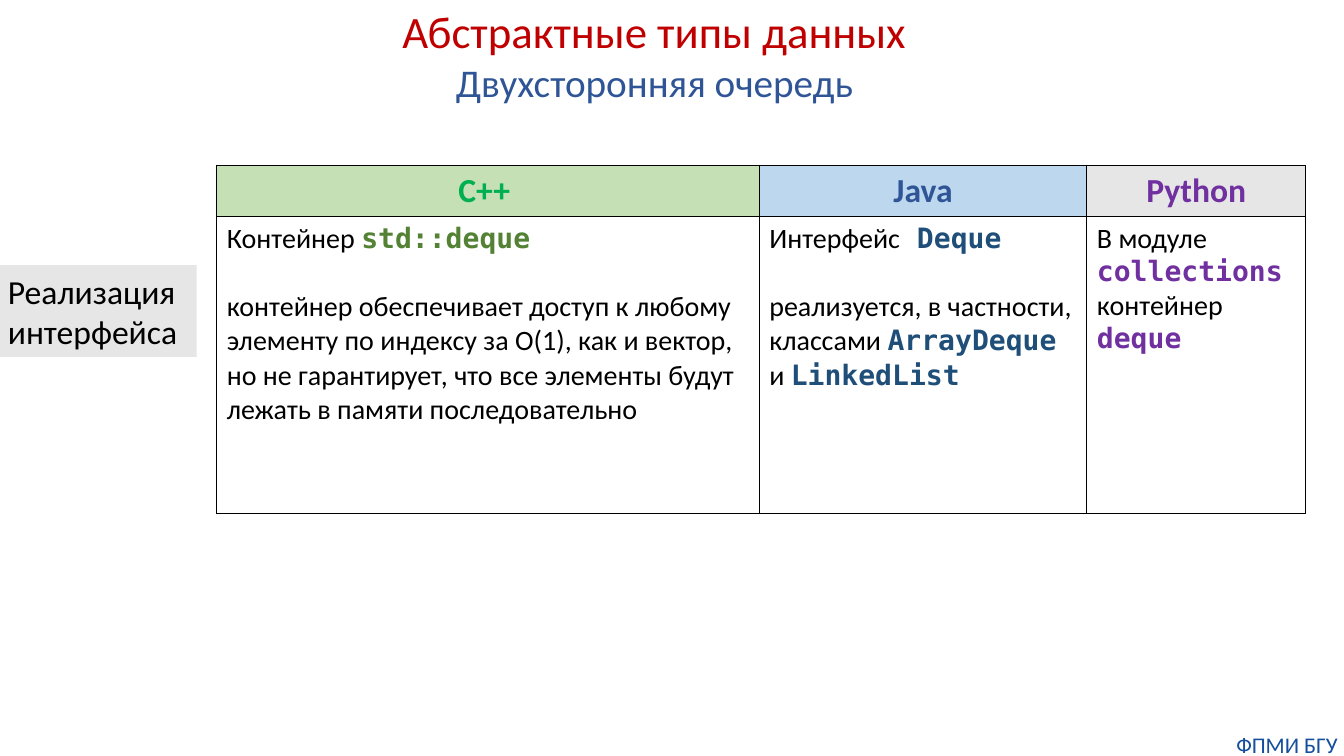
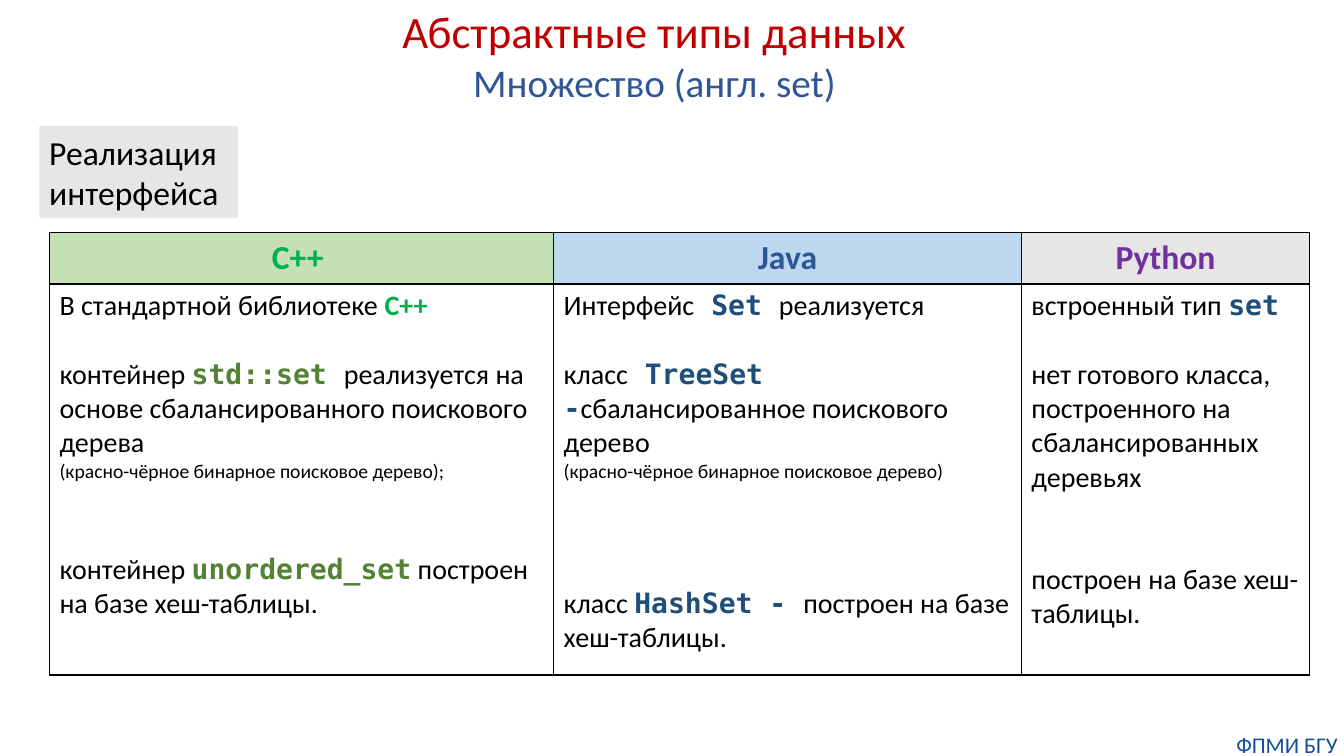
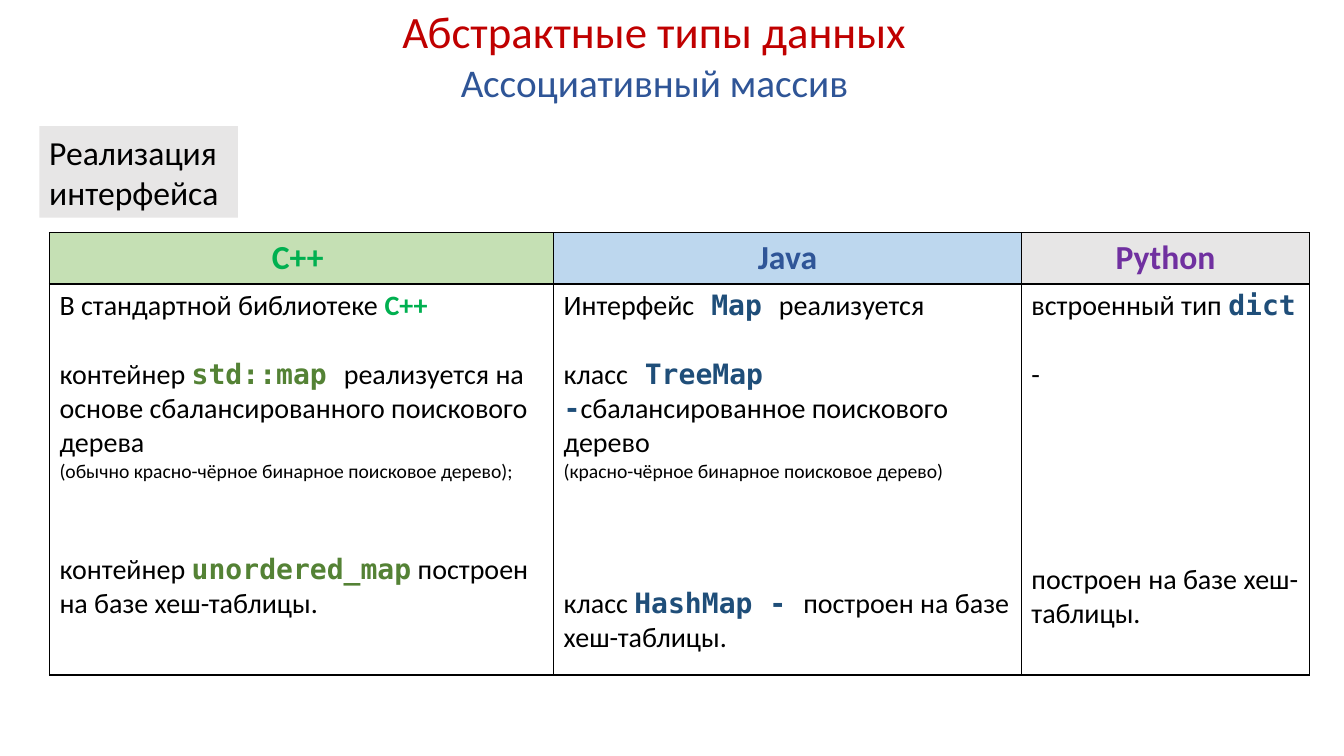
from pptx import Presentation
from pptx import util as u
from pptx.dml.color import RGBColor
from pptx.enum import shapes, text
from pptx.oxml import parse_xml
from pptx.oxml.ns import nsdecls

WIDTH, HEIGHT = 13.33, 7.5
LINE = 24.4
HEADER_HEIGHT = 0.5
SANS, MONO = "Calibri", "DejaVu Sans Mono"
TITLE = "Абстрактные типы данных"
LABEL = "Реализация интерфейса"
FOOTER = "ФПМИ БГУ"
LABEL_FILL = "E7E6E6"

STYLES = {
    "title": (SANS, 32, "C00000", False),
    "subtitle": (SANS, 28, "2F5597", False),
    "label": (SANS, 24, "000000", False),
    "footer": (SANS, 16, "144E9D", False),
    "cpp header": (SANS, 24, "00B050", True),
    "java header": (SANS, 24, "2F5597", True),
    "python header": (SANS, 24, "7030A0", True),
    "body": (SANS, 20, "000000", False),
    "note": (SANS, 14, "000000", False),
    "cpp name": (SANS, 20, "00B050", True),
    "cpp": (MONO, 20, "548235", True),
    "java": (MONO, 20, "1F4E79", True),
    "python": (MONO, 20, "7030A0", True),
}
HEADERS = [
    ("C++ ", "cpp header", "C5E0B4"),
    ("Java", "java header", "BDD7EE"),
    ("Python", "python header", "E7E6E6"),
]


def line(*runs, gap=0):
    return gap, runs


def body(content, gap=0):
    return line((content, "body"), gap=gap)


def note(content):
    return line((content, "note"))


DEQUE_CELLS = [
    [
        line(("Контейнер ", "body"), ("std::deque", "cpp")),
        body("контейнер обеспечивает доступ к любому элементу по индексу за O(1), "
             "как и вектор, но не гарантирует, что все элементы будут лежать "
             "в памяти последовательно", gap=1),
    ],
    [
        line(("Интерфейс", "body"), (" Deque", "java")),
        line(("реализуется, в частности, классами ", "body"), ("ArrayDeque", "java"),
             (" и ", "body"), ("LinkedList", "java"), gap=1),
    ],
    [
        body("В модуле"),
        line(("collections ", "python"), ("контейнер", "body")),
        line(("deque", "python")),
    ],
]


def tree_and_hash_cells(kind, tree_note, python_type, python_tree, python_gap):
    interface = kind.capitalize()
    hashed = "построен на базе хеш-таблицы."
    return [
        [
            line(("В стандартной библиотеке ", "body"), ("C++", "cpp name")),
            line(("контейнер ", "body"), (f"std::{kind} ", "cpp"),
                 ("реализуется на основе сбалансированного поискового дерева", "body"), gap=1),
            note(f"({tree_note});"),
            line(("контейнер ", "body"), (f"unordered_{kind}", "cpp"),
                 (f" {hashed}", "body"), gap=2),
        ],
        [
            line(("Интерфейс", "body"), (f" {interface} ", "java"), ("реализуется", "body")),
            line(("класс", "body"), (f" Tree{interface} -", "java"),
                 ("сбалансированное поискового дерево", "body"), gap=1),
            note("(красно-чёрное бинарное поисковое дерево)"),
            line(("класс ", "body"), (f"Hash{interface} - ", "java"), (hashed, "body"), gap=3),
        ],
        [
            line(("встроенный тип ", "body"), (python_type, "java")),
            body(python_tree, gap=1),
            body(hashed, gap=python_gap),
        ],
    ]


SIDE = {"label": (-0.02, 2.63), "table": (2.15, 1.64), "columns": (5.38, 3.25, 2.17), "body": 2.95}
WIDE = {"label": (0.39, 1.25), "table": (0.49, 2.31), "columns": (5, 4.64, 2.86), "body": 3.88}
TREE = "красно-чёрное бинарное поисковое дерево"
SLIDES = [
    ("Двухсторонняя очередь", SIDE, DEQUE_CELLS, True),
    ("Множество (англ. set)", WIDE, tree_and_hash_cells(
        "set", TREE, "set",
        "нет готового класса, построенного на сбалансированных деревьях", 2), True),
    ("Ассоциативный массив", WIDE, tree_and_hash_cells(
        "map", f"обычно {TREE}", "dict", "-", 5), False),
]


def color(value):
    return RGBColor.from_string(value)


def assign(target, values):
    for name, value in values.items():
        setattr(target, name, value)


def place(shape, left, top, width, height):
    assign(shape, {"left": u.Inches(left), "top": u.Inches(top),
                   "width": u.Inches(width), "height": u.Inches(height)})


def write(frame, lines, align=text.PP_ALIGN.LEFT):
    frame.word_wrap = True
    for index, (gap, runs) in enumerate(lines):
        paragraph = frame.add_paragraph() if index else frame.paragraphs[0]
        assign(paragraph, {"alignment": align, "space_before": u.Pt(gap * LINE)})
        for content, style in runs:
            run = paragraph.add_run()
            run.text = content
            name, size, shade, bold = STYLES[style]
            assign(run.font, {"name": name, "size": u.Pt(size), "bold": bold})
            run.font.color.rgb = color(shade)


def fill_with(shape, value):
    shape.fill.solid()
    shape.fill.fore_color.rgb = color(value)


def add_borders(cell):
    properties = cell._tc.get_or_add_tcPr()
    for side in "LRTB":
        properties.append(parse_xml(
            f'<a:ln{side} {nsdecls("a")} w="12700"><a:solidFill>'
            f'<a:srgbClr val="000000"/></a:solidFill></a:ln{side}>'))


def add_title(slide, subtitle):
    title = slide.shapes.title
    place(title, 0.97, -0.01, 11.04, 1.11)
    assign(title.text_frame, {"vertical_anchor": text.MSO_ANCHOR.TOP,
                              "auto_size": text.MSO_AUTO_SIZE.NONE})
    write(title.text_frame, [line((TITLE, "title")), line((subtitle, "subtitle"))],
          text.PP_ALIGN.CENTER)


def add_label(slide, left, top):
    label = slide.shapes.add_shape(shapes.MSO_SHAPE.RECTANGLE, u.Inches(left), u.Inches(top),
                                   u.Inches(1.97), u.Inches(0.91))
    label.shadow.inherit = False
    label.line.fill.background()
    fill_with(label, LABEL_FILL)
    write(label.text_frame, [line((LABEL, "label"))])


def add_language_table(slide, layout, cells):
    left, top = layout["table"]
    columns, rows = layout["columns"], (HEADER_HEIGHT, layout["body"])
    table = slide.shapes.add_table(
        len(rows), len(columns), u.Inches(left), u.Inches(top),
        u.Inches(sum(columns)), u.Inches(sum(rows))).table
    assign(table, {"first_row": False, "horz_banding": False})
    for row, height in zip(table.rows, rows):
        row.height = u.Inches(height)
    for index, (width, (name, style, shade), lines) in enumerate(zip(columns, HEADERS, cells)):
        table.columns[index].width = u.Inches(width)
        header, content = table.cell(0, index), table.cell(1, index)
        for cell in (header, content):
            add_borders(cell)
        fill_with(header, shade)
        content.fill.background()
        write(header.text_frame, [line((name, style))], text.PP_ALIGN.CENTER)
        write(content.text_frame, lines)


def add_footer(slide):
    width, height = 1.13, 0.27
    footer = slide.shapes.add_textbox(u.Inches(WIDTH - width), u.Inches(7.25),
                                      u.Inches(width), u.Inches(height))
    sides = ("left", "top", "right", "bottom")
    assign(footer.text_frame, {f"margin_{side}": 0 for side in sides})
    write(footer.text_frame, [line((FOOTER, "footer"))], text.PP_ALIGN.CENTER)


def main():
    presentation = Presentation()
    assign(presentation, {"slide_width": u.Inches(WIDTH), "slide_height": u.Inches(HEIGHT)})
    for subtitle, layout, cells, has_footer in SLIDES:
        slide = presentation.slides.add_slide(presentation.slide_layouts[5])
        add_title(slide, subtitle)
        add_label(slide, *layout["label"])
        add_language_table(slide, layout, cells)
        if has_footer:
            add_footer(slide)
    presentation.save("out.pptx")


if __name__ == "__main__":
    main()
